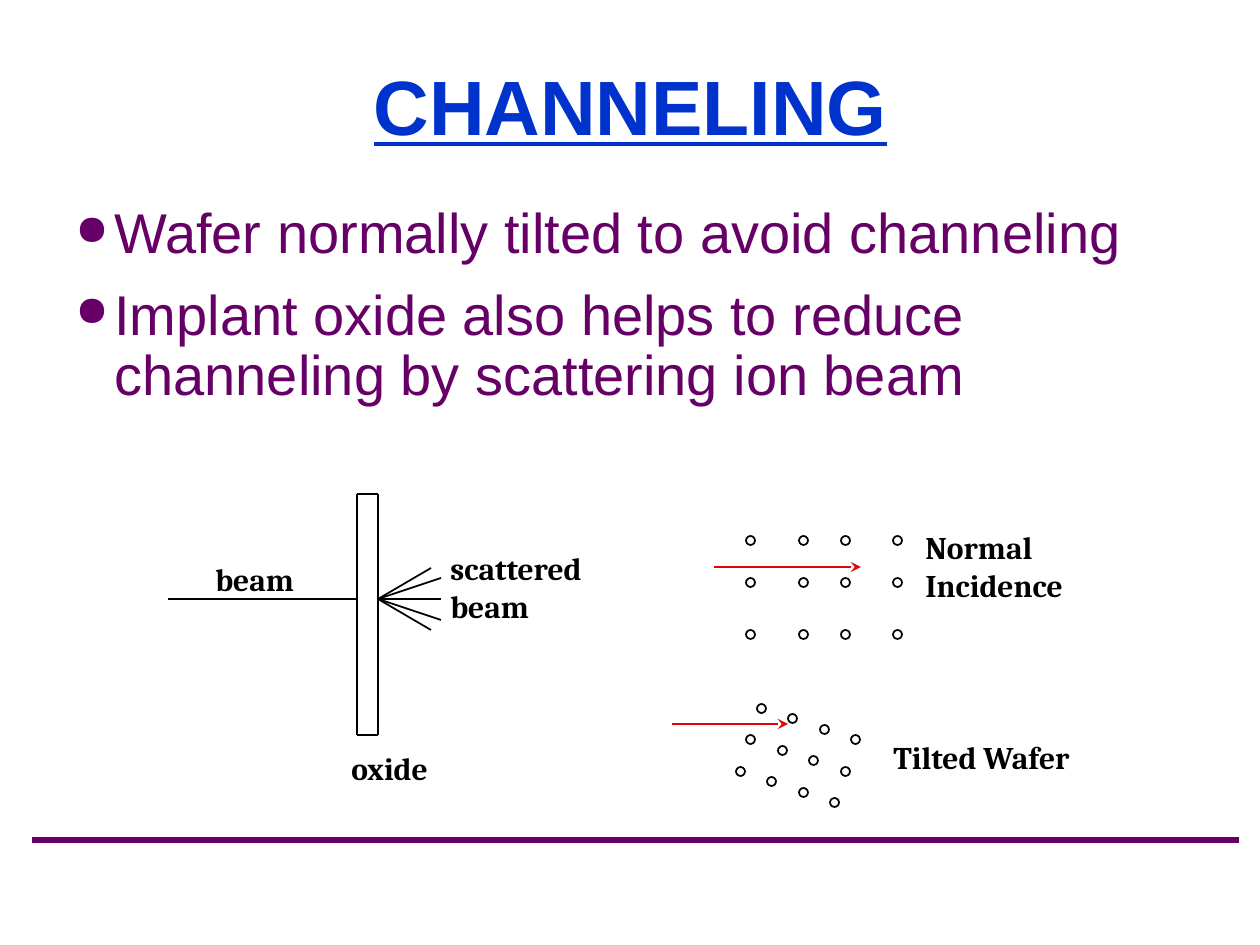
from lxml import etree
from pptx import Presentation
from pptx import util as u
from pptx.dml.color import RGBColor
from pptx.enum import shapes, text
from pptx.oxml import ns

PX = 914400 / 126
BLACK, WHITE, PURPLE, BLUE, RED = "000000", "FFFFFF", "660066", "0033CC", "DD0806"


def px(length):
    return u.Emu(round(length * PX))


def color(value):
    return RGBColor.from_string(value)


def add_child(parent, tag, **attributes):
    return etree.SubElement(parent, ns.qn(tag), attributes)


def add_line(parts, start, end, ink=BLACK, weight=1, arrow=False):
    line = parts.add_connector(shapes.MSO_CONNECTOR.STRAIGHT, *map(px, start + end))
    line.line.color.rgb = color(ink)
    line.line.width = u.Pt(weight)
    if arrow:
        add_child(line.line._get_or_add_ln(), "a:tailEnd", type="stealth")
    add_child(line._element.spPr, "a:effectLst")


def add_text(parts, box, lines, size, font, ink, wrap=True, bold=False):
    label = parts.add_textbox(*map(px, box))
    frame = label.text_frame
    frame.word_wrap = wrap
    frame.text = "\n".join(lines)
    for para in frame.paragraphs:
        para.font.size = u.Pt(size)
        para.font.name = font
        para.font.bold = bold
        para.font.color.rgb = color(ink)
    return frame


def add_label(parts, box, *lines):
    frame = add_text(parts, box, lines, 18, "Cambria", BLACK, wrap=False, bold=True)
    frame.auto_size = text.MSO_AUTO_SIZE.SHAPE_TO_FIT_TEXT


def add_atom(parts, left, top):
    atom = parts.add_shape(shapes.MSO_SHAPE.OVAL, px(left), px(top), px(9), px(9))
    atom.shadow.inherit = False
    atom.fill.solid()
    atom.fill.fore_color.rgb = color(WHITE)
    atom.line.color.rgb = color(BLACK)
    atom.line.width = u.Pt(1)


def add_title(page, box):
    frame = add_text(page.shapes, box, ["CHANNELING"], 44, "Arial", BLUE, bold=True)
    frame.vertical_anchor = text.MSO_ANCHOR.MIDDLE
    para = frame.paragraphs[0]
    para.alignment = text.PP_ALIGN.CENTER
    para.line_spacing = 0.9
    para.font.underline = True


def add_bullets(page, box, lines):
    frame = add_text(page.shapes, box, lines, 32, "Arial", PURPLE)
    for index, para in enumerate(frame.paragraphs):
        para.line_spacing = 0.9
        para.space_before = u.Pt(12 if index else 0)
        # The paragraph's own font element must stay after the bullet elements
        settings = para._p.get_or_add_pPr()
        font = settings.find(ns.qn("a:defRPr"))
        settings.set("marL", str(px(39)))
        settings.set("indent", str(-px(39)))
        bullet_color = add_child(settings, "a:buClr")
        add_child(bullet_color, "a:srgbClr", val=PURPLE)
        add_child(settings, "a:buSzPct", val="75000")
        add_child(settings, "a:buChar", char="●")
        settings.append(font)


def add_oxide_diagram(page, left, top):
    parts = page.shapes.add_group_shape().shapes
    wall_left, wall_right, bottom = left + 189, left + 210, top + 241
    beam_y = top + 105

    # Oxide outline
    corners = [(wall_right, top), (wall_left, top), (wall_left, bottom), (wall_right, bottom)]
    for start, end in zip(corners, corners[1:] + corners[:1]):
        add_line(parts, start, end)

    # Incoming and scattered beams
    add_line(parts, (left, beam_y), (wall_left, beam_y))
    for reach, rise in ((53, -31), (63, -21), (63, 0), (63, 21), (53, 31)):
        add_line(parts, (wall_right, beam_y), (wall_right + reach, beam_y + rise))

    add_label(parts, (left + 171, top + 249, 115, 50), "oxide")
    add_label(parts, (left + 35, top + 60, 113, 50), "beam")
    add_label(parts, (left + 270, top + 49, 175, 88), "scattered", "beam")


def add_normal_lattice(page, left, top):
    parts = page.shapes.add_group_shape().shapes
    for across in (0, 53, 95, 147):
        for down in (0, 42, 94):
            add_atom(parts, left + across, top + down)
    add_line(parts, (left - 32, top + 31), (left + 115, top + 31), RED, arrow=True)
    add_label(parts, (left + 167, top - 14, 181, 88), "Normal", "Incidence")


def add_tilted_lattice(page, left, top):
    parts = page.shapes.add_group_shape().shapes
    for column in range(4):
        for row in range(3):
            across = (63 * column - 21 * row) // 2
            down = (21 * column + 63 * row) // 2
            add_atom(parts, left + across, top + down)
    add_line(parts, (left - 85, top + 20), (left + 31, top + 20), RED, arrow=True)
    add_label(parts, (left + 124, top + 28, 227, 50), "Tilted Wafer")


def main():
    deck = Presentation()
    deck.slide_width, deck.slide_height = px(1260), px(945)
    page = deck.slides.add_slide(deck.slide_layouts[6])

    # Footer rule
    add_line(page.shapes, (32, 840), (1239, 840), PURPLE, weight=3)

    # Heading and points
    add_title(page, (53, 32, 1155, 157))
    add_bullets(page, (63, 199, 1103, 221), [
        "Wafer normally tilted to avoid channeling",
        "Implant oxide also helps to reduce channeling by scattering ion beam",
    ])

    # Diagrams
    add_oxide_diagram(page, 168, 494)
    add_normal_lattice(page, 746, 536)
    add_tilted_lattice(page, 757, 704)

    deck.save("out.pptx")


if __name__ == "__main__":
    main()
